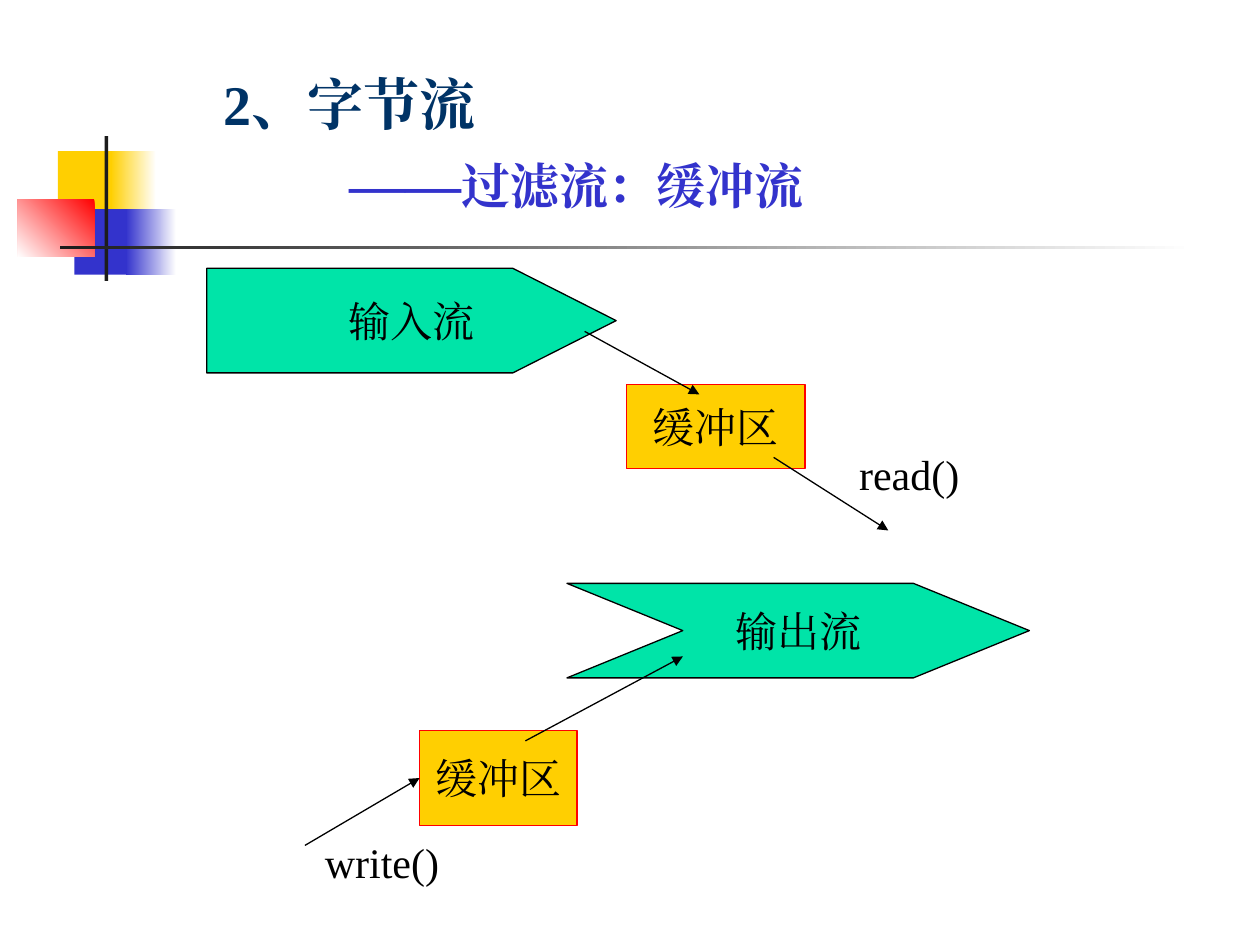
from typing import Any, NamedTuple, Optional

from lxml import etree
from pptx import Presentation
from pptx import util as u
from pptx.dml.color import RGBColor
from pptx.enum import shapes, text
from pptx.oxml.ns import qn

WIDTH, HEIGHT = u.Inches(10), u.Inches(7.5)
COLUMNS, ROWS = 100, 75
FONT = "Times New Roman"
BLACK = RGBColor(0x00, 0x00, 0x00)
WHITE = RGBColor(0xFF, 0xFF, 0xFF)
CHARCOAL = RGBColor(0x1C, 0x1C, 0x1C)
YELLOW = RGBColor(0xFF, 0xCF, 0x01)
BLUE = RGBColor(0x33, 0x33, 0xCC)
NAVY = RGBColor(0x00, 0x33, 0x66)
RED = RGBColor(0xFF, 0x00, 0x00)
GREEN = RGBColor(0x00, 0xE4, 0xA8)
FRAME = dict(word_wrap=False, auto_size=text.MSO_AUTO_SIZE.NONE)
BODY = dict(size=u.Pt(24), name=FONT)


class Area(NamedTuple):
    """A rectangle in grid columns and rows."""
    left: float
    top: float
    width: float
    height: float


class Block(NamedTuple):
    """A decoration, fading to a second colour if one is given."""
    area: Area
    color: RGBColor
    fade: Optional[RGBColor] = None
    angle: float = 0


class Arrow(NamedTuple):
    """An arrow between two grid points, optionally joined to the buffer."""
    start: tuple[float, float]
    end: tuple[float, float]
    buffer_side: Optional[int] = None


class Diagram(NamedTuple):
    """A stream with its buffer, arrows and method label."""
    stream: str
    stream_area: Area
    tip: float
    notch: float
    buffer_area: Area
    arrows: list[Arrow]
    method: str
    method_area: Area


BLOCKS = [
    Block(Area(4.6, 12, 4.8, 5.2), YELLOW),
    Block(Area(8.8, 12, 3.6, 5.2), YELLOW, WHITE),
    Block(Area(5.9, 16.6, 4.6, 5.2), BLUE),
    Block(Area(10, 16.6, 4, 5.2), BLUE, WHITE),
    Block(Area(1.4, 15.8, 6.1, 4.6), WHITE, RED, 45),
    Block(Area(8.3, 10.8, 0.3, 11.5), CHARCOAL),
    Block(Area(4.8, 19.5, 90, 0.3), CHARCOAL, WHITE),
]
DIAGRAMS = [
    Diagram("输出流", Area(45, 46.3, 36.7, 7.5), 9.2, 9.2,
            Area(33.3, 58, 12.5, 7.5),
            [Arrow((24.2, 67.1), (33.3, 62.1), 1), Arrow((41.7, 58.8), (54.2, 52.1))],
            "write()", Area(24.8, 65.9, 11, 5)),
    Diagram("输入流", Area(16.4, 21.3, 32.5, 8.3), 8.2, 0,
            Area(49.7, 30.5, 14.2, 6.7),
            [Arrow((46.4, 26.3), (55.5, 31.3)), Arrow((61.4, 36.3), (70.5, 42.1))],
            "read()", Area(67.2, 35.1, 9.9, 5)),
]


def point(column: float, row: float) -> tuple[int, int]:
    """Turn a grid position into slide lengths."""
    return round(WIDTH * column / COLUMNS), round(HEIGHT * row / ROWS)


def place(area: Area) -> tuple[int, int, int, int]:
    """Turn a grid area into slide lengths."""
    return point(area.left, area.top) + point(area.width, area.height)


def assign(target: Any, values: dict[str, Any]) -> None:
    """Set attributes from a dict of format values."""
    for name, value in values.items():
        setattr(target, name, value)


def add_run(paragraph: Any, words: str, color: RGBColor, values: dict[str, Any]) -> None:
    """Add formatted words to a paragraph."""
    run = paragraph.add_run()
    run.text = words
    assign(run.font, values)
    run.font.color.rgb = color
    latin = run.font._element.find(qn("a:latin"))
    latin.addnext(etree.Element(qn("a:ea"), typeface=FONT))


def paint(shape: Any, fill: RGBColor, line: Optional[RGBColor] = None) -> None:
    """Give a shape a flat fill and an optional outline."""
    shape.shadow.inherit = False
    shape.fill.solid()
    shape.fill.fore_color.rgb = fill
    if line is None:
        shape.line.fill.background()
    else:
        shape.line.color.rgb = line
        shape.line.width = u.Pt(0.75)


def write(shape: Any, words: str, anchor: Any, alignment: Any) -> None:
    """Put one line of body text in a shape."""
    assign(shape.text_frame, FRAME | dict(vertical_anchor=anchor))
    paragraph = shape.text_frame.paragraphs[0]
    paragraph.alignment = alignment
    add_run(paragraph, words, BLACK, BODY)


def add_block(slide: Any, block: Block) -> None:
    """Draw one decoration."""
    shape = slide.shapes.add_shape(shapes.MSO_SHAPE.RECTANGLE, *place(block.area))
    paint(shape, block.color)
    if block.fade is not None:
        shape.fill.gradient()
        shape.fill.gradient_angle = 180 + block.angle
        for stop, color in zip(shape.fill.gradient_stops, (block.fade, block.color)):
            stop.color.rgb = color


def add_stream(group: Any, diagram: Diagram) -> None:
    """Draw the pointed stream outline."""
    left, top, width, height = diagram.stream_area
    right, middle, bottom = left + width, top + height / 2, top + height
    shoulder = right - diagram.tip
    corners = [(shoulder, top), (right, middle), (shoulder, bottom), (left, bottom)]
    if diagram.notch:
        corners.append((left + diagram.notch, middle))
    builder = group.shapes.build_freeform(*point(left, top))
    builder.add_line_segments([point(*corner) for corner in corners], close=True)
    shape = builder.convert_to_shape()
    paint(shape, GREEN, BLACK)
    write(shape, diagram.stream, text.MSO_ANCHOR.MIDDLE, text.PP_ALIGN.CENTER)


def add_arrow(group: Any, arrow: Arrow, buffer: Any) -> None:
    """Draw a thin arrow with a triangular head."""
    connector = group.shapes.add_connector(
        shapes.MSO_CONNECTOR.STRAIGHT, *point(*arrow.start), *point(*arrow.end))
    if arrow.buffer_side is not None:
        connector.end_connect(buffer, arrow.buffer_side)
    connector.line.color.rgb = BLACK
    connector.line.width = u.Pt(0.75)
    etree.SubElement(connector.line._get_or_add_ln(), qn("a:tailEnd"), type="triangle")
    etree.SubElement(connector._element.spPr, qn("a:effectLst"))


def add_diagram(slide: Any, diagram: Diagram) -> None:
    """Draw a stream diagram as one group."""
    group = slide.shapes.add_group_shape()
    add_stream(group, diagram)
    buffer = group.shapes.add_shape(shapes.MSO_SHAPE.RECTANGLE, *place(diagram.buffer_area))
    paint(buffer, YELLOW, RED)
    write(buffer, "缓冲区", text.MSO_ANCHOR.MIDDLE, text.PP_ALIGN.CENTER)
    for arrow in diagram.arrows:
        add_arrow(group, arrow, buffer)
    label = group.shapes.add_textbox(*place(diagram.method_area))
    write(label, diagram.method, text.MSO_ANCHOR.TOP, text.PP_ALIGN.LEFT)


def fill_title(title: Any) -> None:
    """Place the title and write its two lines."""
    assign(title, dict(zip(("left", "top", "width", "height"), place(Area(16.7, 5, 60.8, 12.7)))))
    frame = title.text_frame
    assign(frame, FRAME | dict(word_wrap=True, vertical_anchor=text.MSO_ANCHOR.TOP))
    heading, subheading = frame.paragraphs[0], frame.add_paragraph()
    heading.alignment = subheading.alignment = text.PP_ALIGN.LEFT
    subheading.space_before = u.Pt(7)
    subheading._p.get_or_add_pPr().set("marL", str(u.Inches(1)))
    large = dict(size=u.Pt(32), name=FONT, bold=True)
    add_run(heading, "2、字节流", NAVY, large)
    add_run(subheading, "——", BLUE, large)
    add_run(subheading, "过滤流：缓冲流", BLUE, large | dict(size=u.Pt(28)))


def main() -> None:
    """Build and save the slide."""
    presentation = Presentation()
    assign(presentation, dict(slide_width=WIDTH, slide_height=HEIGHT))
    slide = presentation.slides.add_slide(presentation.slide_layouts[5])
    fill_title(slide.shapes.title)
    for block in BLOCKS:
        add_block(slide, block)
    for diagram in DIAGRAMS:
        add_diagram(slide, diagram)
    presentation.save("out.pptx")


if __name__ == "__main__":
    main()
